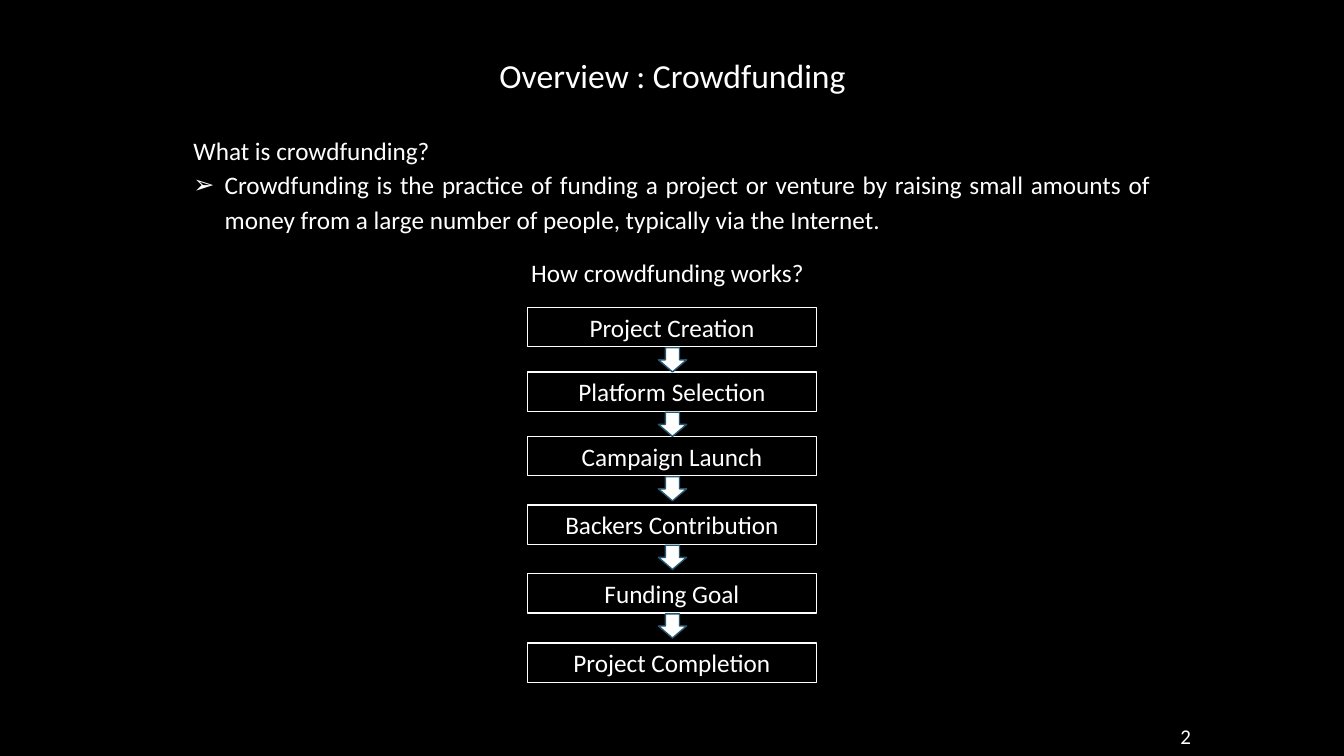
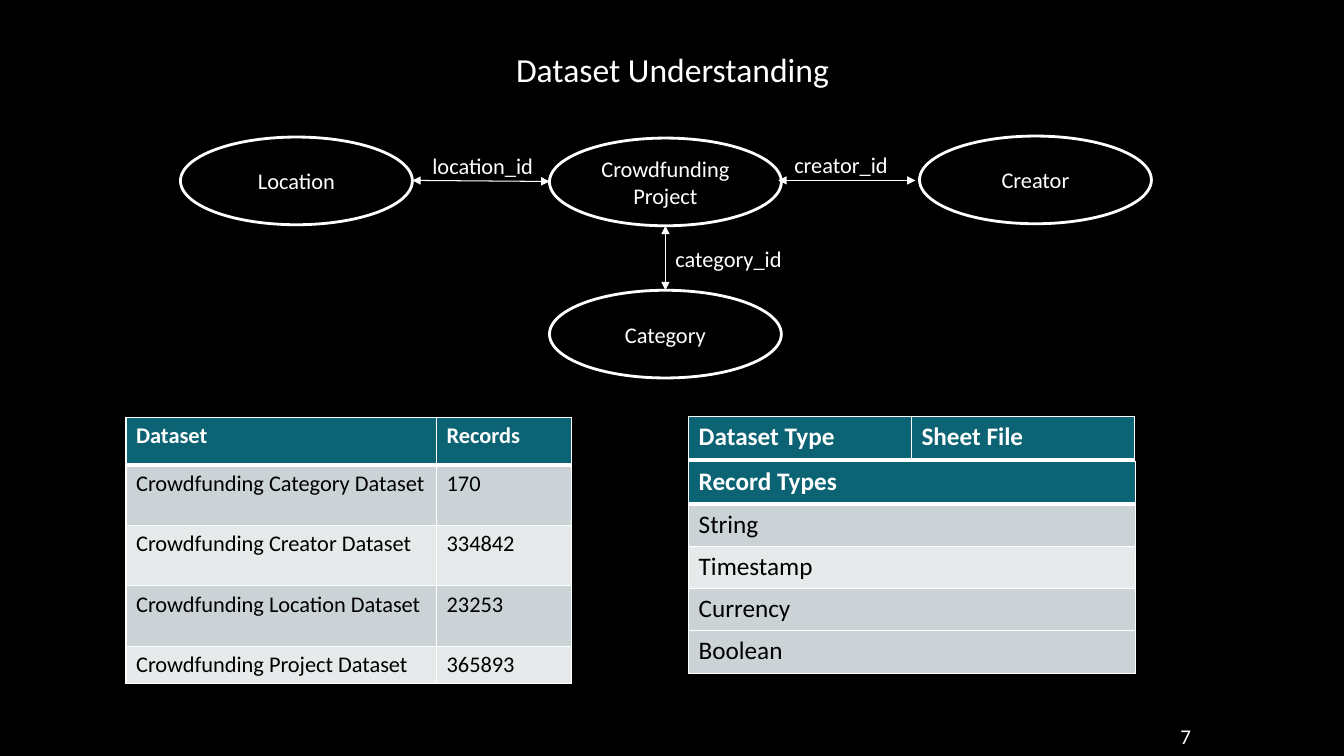
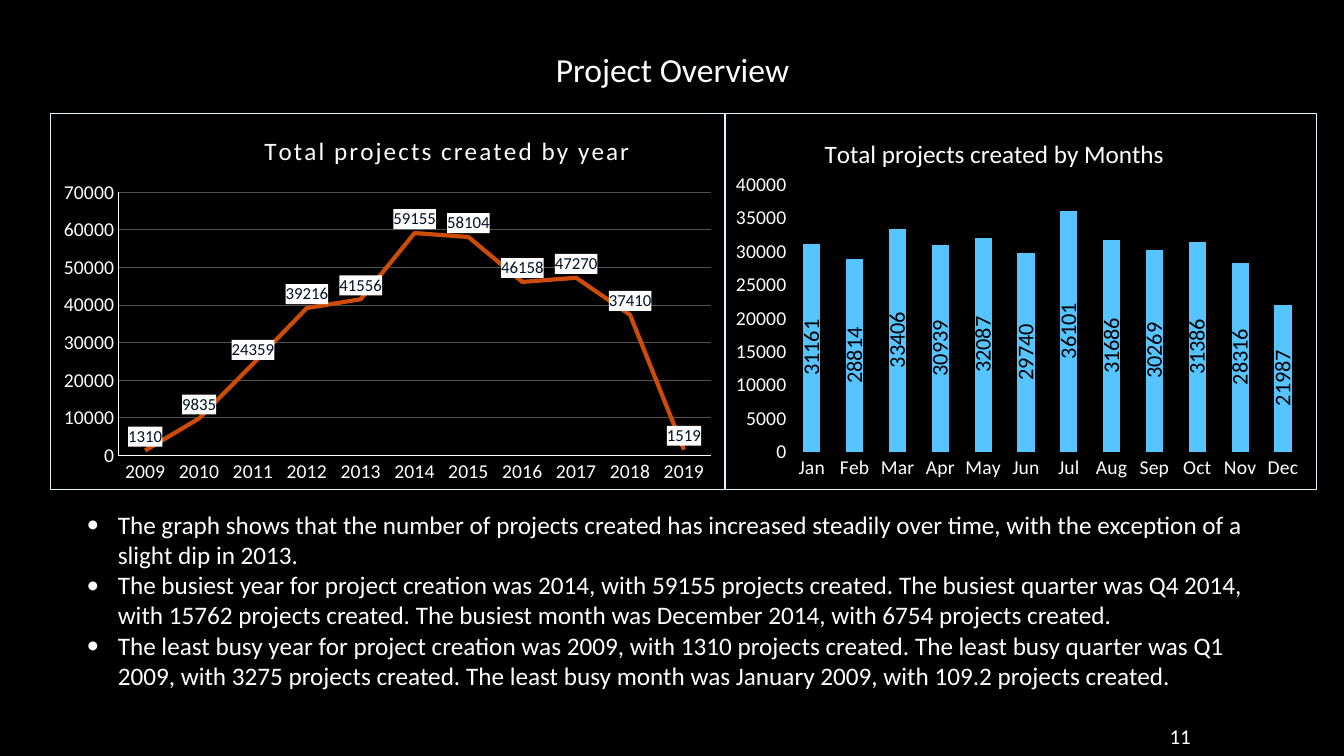
"""Build three slides on crowdfunding: process, data model and yearly overview."""
from dataclasses import dataclass

from pptx import Presentation
from pptx import util as u
from pptx.chart import data as chart_data
from pptx.dml import color
from pptx.enum import chart as chart_enum
from pptx.enum import shapes, text
from pptx.oxml import ns, parse_xml


@dataclass(frozen=True)
class Theme:
    font: str = "Calibri"
    black: str = "000000"
    white: str = "FFFFFF"
    teal: str = "0B6374"
    arrow_edge: str = "265670"
    band_dark: str = "CCD3D6"
    band_light: str = "E7EAEB"
    chart_border: str = "DDF3FF"
    grid: str = "525252"
    orange: str = "CE4C07"
    sky: str = "56C5FF"
    navy: str = "001027"
    title: int = 24
    body: int = 18
    small: int = 16
    number: int = 15
    axis: int = 14
    label: int = 12


THEME = Theme()

DEFINITION = [
    ("What is crowdfunding?", None),
    ("Crowdfunding is the practice of funding a project or venture by raising small amounts of "
     "money from a large number of people, typically via the Internet.", "➢"),
]
STEPS = [
    ("Project Creation", 3.05),
    ("Platform Selection", 3.69),
    ("Campaign Launch", 4.33),
    ("Backers Contribution", 5.01),
    ("Funding Goal", 5.69),
    ("Project Completion", 6.38),
]

ENTITIES = [
    ("Crowdfunding Project", 5.45, 1.37),
    ("Category", 5.45, 2.88),
    ("Creator", 9.12, 1.35),
    ("Location", 1.79, 1.36),
]
RELATIONS = [
    ("location_id", (4.19, 1.46), (4.09, 1.79, 5.45, 1.8)),
    ("creator_id", (7.78, 1.45), (7.72, 1.79, 9.08, 1.79)),
    ("category_id", (6.6, 2.38), (6.6, 2.24, 6.6, 2.88)),
]
DARK, LIGHT = THEME.band_dark, THEME.band_light
TABLES = [
    dict(at=(1.25, 4.14), size=THEME.small, columns=[3.08, 1.34],
         heights=[0.47, 0.6, 0.6, 0.6, 0.35], bands=[DARK, LIGHT, DARK, LIGHT],
         rows=[("Dataset", "Records"),
               ("Crowdfunding Category Dataset", "170"),
               ("Crowdfunding Creator Dataset", "334842"),
               ("Crowdfunding Location Dataset", "23253"),
               ("Crowdfunding Project Dataset", "365893")]),
    dict(at=(6.83, 4.13), size=THEME.body, columns=[2.21, 2.21], heights=[0.43], bands=[],
         rows=[("Dataset Type", "Sheet File")]),
    dict(at=(6.83, 4.58), size=THEME.body, columns=[4.43], heights=[0.42] * 5,
         bands=[DARK, LIGHT, DARK, DARK],
         rows=[("Record Types",), ("String",), ("Timestamp",), ("Currency",), ("Boolean",)]),
]

YEARLY = dict(
    kind=chart_enum.XL_CHART_TYPE.LINE, box=(0.5, 1.12, 6.69, 3.74),
    title="Total projects created by year", title_at=(0.31, 0.04), spacing=150,
    plot_at=(0.1, 0.21, 0.88, 0.7), top=70000, step=10000,
    categories=[str(year) for year in range(2009, 2020)],
    values=[1310, 9835, 24359, 39216, 41556, 59155, 58104, 46158, 47270, 37410, 1519])
MONTHLY = dict(
    kind=chart_enum.XL_CHART_TYPE.COLUMN_STACKED, box=(7.19, 1.12, 5.87, 3.74),
    title="Total projects created by Months", title_at=(0.16, 0.05), spacing=0,
    plot_at=(0.11, 0.19, 0.87, 0.71), top=40000, step=5000,
    categories="Jan Feb Mar Apr May Jun Jul Aug Sep Oct Nov Dec".split(),
    values=[31161, 28814, 33406, 30939, 32087, 29740, 36101, 31686, 30269, 31386, 28316, 21987])
FINDINGS = [
    "The graph shows that the number of projects created has increased steadily over time, "
    "with the exception of a slight dip in 2013.",
    "The busiest year for project creation was 2014, with 59155 projects created. The busiest "
    "quarter was Q4 2014, with 15762 projects created. The busiest month was December 2014, "
    "with 6754 projects created.",
    "The least busy year for project creation was 2009, with 1310 projects created. The least "
    "busy quarter was Q1 2009, with 3275 projects created. The least busy month was January "
    "2009, with 109.2 projects created.",
]


def rgb(value):
    return color.RGBColor.from_string(value)


def inches(values):
    return [u.Inches(value) for value in values]


def element(tag, attributes="", inner=""):
    return parse_xml(f"<{tag} {ns.nsdecls('a', 'c')} {attributes}>{inner}</{tag}>")


def solid(value):
    return f'<a:solidFill><a:srgbClr val="{value}"/></a:solidFill>'


def set_font(font, size, value=THEME.white, bold=False):
    font.name, font.size, font.bold = THEME.font, u.Pt(size), bold
    font.color.rgb = rgb(value)


def set_line(line, value, width):
    line.color.rgb = rgb(value)
    line.width = u.Pt(width)


def write(frame, lines, size, align=text.PP_ALIGN.LEFT, spacing=None):
    frame.word_wrap = True
    for index, (line, bullet) in enumerate(lines):
        paragraph = frame.paragraphs[0] if index == 0 else frame.add_paragraph()
        paragraph.text = line
        paragraph.alignment = align
        if spacing:
            paragraph.line_spacing = spacing
        if bullet:
            properties = paragraph._p.get_or_add_pPr()
            properties.set("marL", str(u.Inches(0.31)))
            properties.set("indent", str(-u.Inches(0.31)))
            properties.append(element("a:buFont", f'typeface="{THEME.font}"'))
            properties.append(element("a:buChar", f'char="{bullet}"'))
        set_font(paragraph.font, size)


def add_text(slide, box, lines, size, **options):
    frame = slide.shapes.add_textbox(*inches(box)).text_frame
    write(frame, lines, size, **options)
    return frame


def add_shape(slide, preset, box, line, width, fill=None):
    shape = slide.shapes.add_shape(preset, *inches(box))
    shape.shadow.inherit = False
    if fill:
        shape.fill.solid()
        shape.fill.fore_color.rgb = rgb(fill)
    else:
        shape.fill.background()
    set_line(shape.line, line, width)
    return shape


def add_node(slide, preset, box, label, size, width):
    shape = add_shape(slide, preset, box, THEME.white, width)
    shape.text_frame.vertical_anchor = text.MSO_ANCHOR.MIDDLE
    write(shape.text_frame, [(label, None)], size, align=text.PP_ALIGN.CENTER)


def add_double_arrow(slide, ends):
    connector = slide.shapes.add_connector(shapes.MSO_CONNECTOR.STRAIGHT, *inches(ends))
    set_line(connector.line, THEME.white, 0.75)
    properties = connector.element.spPr
    outline = properties.find(ns.qn("a:ln"))
    for end in ("a:headEnd", "a:tailEnd"):
        outline.append(element(end, 'type="triangle"'))
    properties.append(element("a:effectLst"))


def add_slide(presentation, title, number, title_top=0.44):
    slide = presentation.slides.add_slide(presentation.slide_layouts[6])
    add_text(slide, (4.67, title_top, 4, 0.5), [(title, None)], THEME.title,
             align=text.PP_ALIGN.CENTER)
    frame = add_text(slide, (11.48, 7.11, 0.43, 0.39), [(str(number), None)], THEME.number,
                     align=text.PP_ALIGN.RIGHT)
    frame.vertical_anchor = text.MSO_ANCHOR.MIDDLE
    return slide


def add_table(slide, at, size, columns, heights, bands, rows):
    box = (*at, sum(columns), sum(heights))
    table = slide.shapes.add_table(len(rows), len(columns), *inches(box)).table
    for column, width in zip(table.columns, columns):
        column.width = u.Inches(width)
    for index, (height, fill) in enumerate(zip(heights, [THEME.teal, *bands])):
        table.rows[index].height = u.Inches(height)
        header = index == 0
        edges = dict(L=1, R=1, T=3 if index == 1 else 1, B=3 if header else 1)
        for cell, label in zip(table.rows[index].cells, rows[index]):
            properties = cell._tc.get_or_add_tcPr()
            for side, width in edges.items():
                properties.append(element(f"a:ln{side}", f'w="{u.Pt(width)}"',
                                          solid(THEME.white)))
            cell.fill.solid()
            cell.fill.fore_color.rgb = rgb(fill)
            cell.text = label
            set_font(cell.text_frame.paragraphs[0].font, size,
                     THEME.white if header else THEME.black, header)


def set_layout(parent, index, fractions, target=""):
    for old in parent.findall(ns.qn("c:layout")):
        parent.remove(old)
    modes = '<c:xMode val="edge"/><c:yMode val="edge"/>'
    places = "".join(f'<c:{key} val="{value}"/>' for key, value in zip("xywh", fractions))
    parent.insert(index, element(
        "c:layout", inner=f"<c:manualLayout>{target}{modes}{places}</c:manualLayout>"))


def add_chart(slide, kind, box, title, title_at, spacing, plot_at, top, step, categories, values):
    content = chart_data.CategoryChartData()
    content.categories = categories
    content.add_series("Series 1", values)
    chart = slide.shapes.add_chart(kind, *inches(box), content).chart
    set_font(chart.font, 10)
    border = f'<a:ln w="{u.Pt(0.75)}">{solid(THEME.chart_border)}</a:ln>'
    chart.element.find(ns.qn("c:txPr")).addprevious(
        element("c:spPr", inner="<a:noFill/>" + border))
    chart.has_legend = False

    chart.has_title = True
    frame = chart.chart_title.text_frame
    frame.text = title
    paragraph = frame.paragraphs[0]
    set_font(paragraph.font, THEME.body)
    paragraph._p.pPr.find(ns.qn("a:defRPr")).set("spc", str(spacing))
    set_layout(chart.element.xpath("c:chart/c:title")[0], 1, title_at)
    set_layout(chart.element.xpath("c:chart/c:plotArea")[0], 0, plot_at,
               '<c:layoutTarget val="inner"/>')

    for axis in (chart.category_axis, chart.value_axis):
        axis.major_tick_mark = axis.minor_tick_mark = chart_enum.XL_TICK_MARK.NONE
        axis.has_major_gridlines = False
        axis.format.line.fill.background()
        set_font(axis.tick_labels.font, THEME.axis)
    chart.value_axis.minimum_scale = 0
    chart.value_axis.maximum_scale = top
    chart.value_axis.major_unit = step
    chart.plots[0].vary_by_categories = False
    return chart


def label_series(series, position, size, value):
    labels = series.data_labels
    labels.show_value = True
    labels.position = position
    set_font(labels.font, size, value)
    return series._element.find(ns.qn("c:dLbls")).find(ns.qn("c:txPr"))


def build_process(presentation):
    slide = add_slide(presentation, "Overview : Crowdfunding", 2, 0.5)
    add_text(slide, (1.82, 1.25, 9.69, 1.12), DEFINITION, THEME.body,
             align=text.PP_ALIGN.JUSTIFY, spacing=1.14)
    add_text(slide, (5.17, 2.5, 2.95, 0.4), [("How crowdfunding works?", None)], THEME.body)
    for label, top in STEPS:
        add_node(slide, shapes.MSO_SHAPE.RECTANGLE, (5.23, top, 2.87, 0.39), label,
                 THEME.body, 1)
    for _, top in STEPS[:-1]:
        add_shape(slide, shapes.MSO_SHAPE.DOWN_ARROW, (6.53, top + 0.4, 0.28, 0.24),
                  THEME.arrow_edge, 1, THEME.white)


def build_dataset(presentation):
    slide = add_slide(presentation, "Dataset Understanding", 7)
    for table in TABLES:
        add_table(slide, **table)
    for label, left, top in ENTITIES:
        add_node(slide, shapes.MSO_SHAPE.OVAL, (left, top, 2.3, 0.87), label, THEME.small, 2)
    for label, at, ends in RELATIONS:
        add_double_arrow(slide, ends)
        add_text(slide, (*at, 1.37, 0.37), [(label, None)], THEME.small)


def build_overview(presentation):
    slide = add_slide(presentation, "Project Overview", 11)
    add_text(slide, (0.76, 5, 11.81, 1.97), [(finding, "•") for finding in FINDINGS], THEME.body)

    yearly = add_chart(slide, **YEARLY)
    for axis in (yearly.category_axis, yearly.value_axis):
        set_line(axis.format.line, THEME.white, 0.25)
    yearly.value_axis.has_major_gridlines = True
    set_line(yearly.value_axis.major_gridlines.format.line, THEME.grid, 0.75)
    series = yearly.plots[0].series[0]
    series.smooth = False
    set_line(series.format.line, THEME.orange, 3)
    label_text = label_series(series, chart_enum.XL_LABEL_POSITION.ABOVE, THEME.label, THEME.navy)
    label_text.addprevious(element("c:spPr", inner=solid(THEME.white)))

    monthly = add_chart(slide, **MONTHLY)
    plot = monthly.plots[0]
    plot.gap_width, plot.overlap = 150, 100
    series = plot.series[0]
    series.format.fill.solid()
    series.format.fill.fore_color.rgb = rgb(THEME.sky)
    label_text = label_series(series, chart_enum.XL_LABEL_POSITION.CENTER, THEME.small,
                              THEME.black)
    body = label_text.find(ns.qn("a:bodyPr"))
    body.set("rot", "-5400000")
    body.set("vert", "horz")


def main():
    presentation = Presentation()
    presentation.slide_width, presentation.slide_height = inches((13.33, 7.5))
    background = presentation.slide_master.background.fill
    background.solid()
    background.fore_color.rgb = rgb(THEME.black)
    for build in (build_process, build_dataset, build_overview):
        build(presentation)
    presentation.save("out.pptx")


if __name__ == "__main__":
    main()
